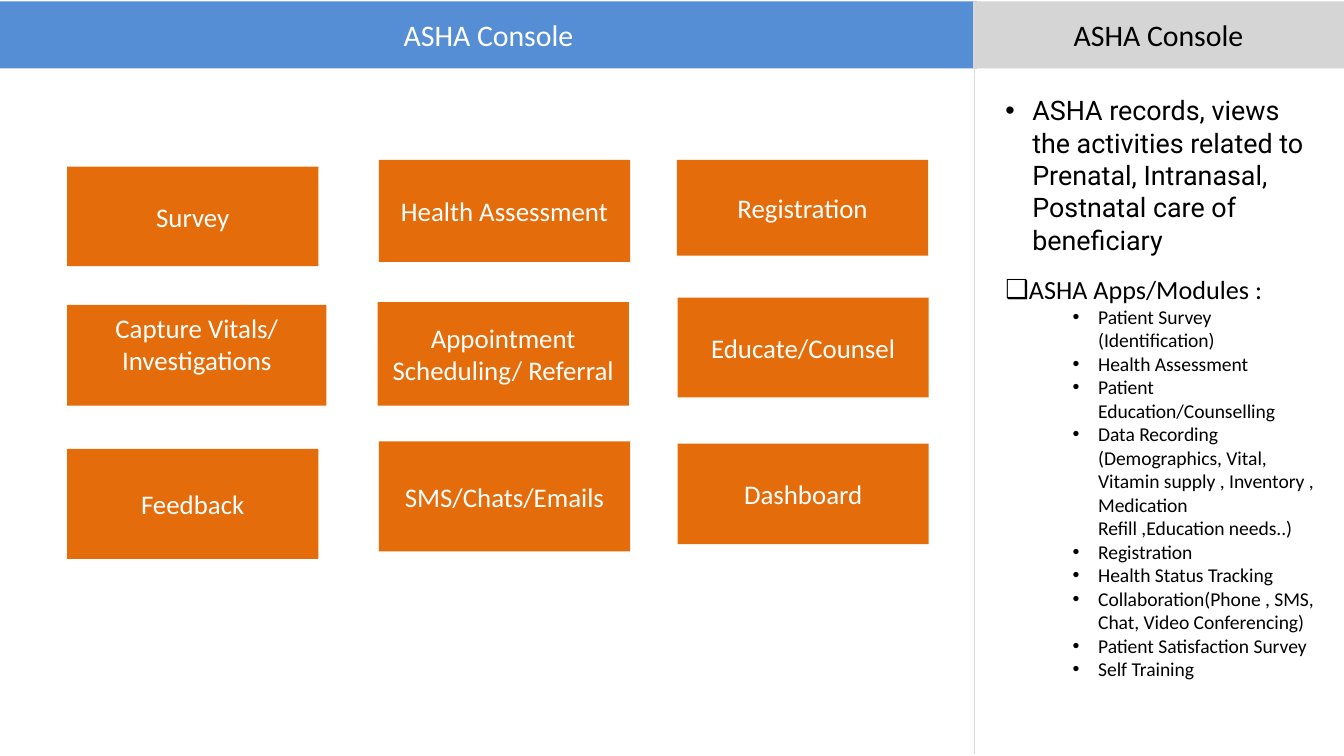
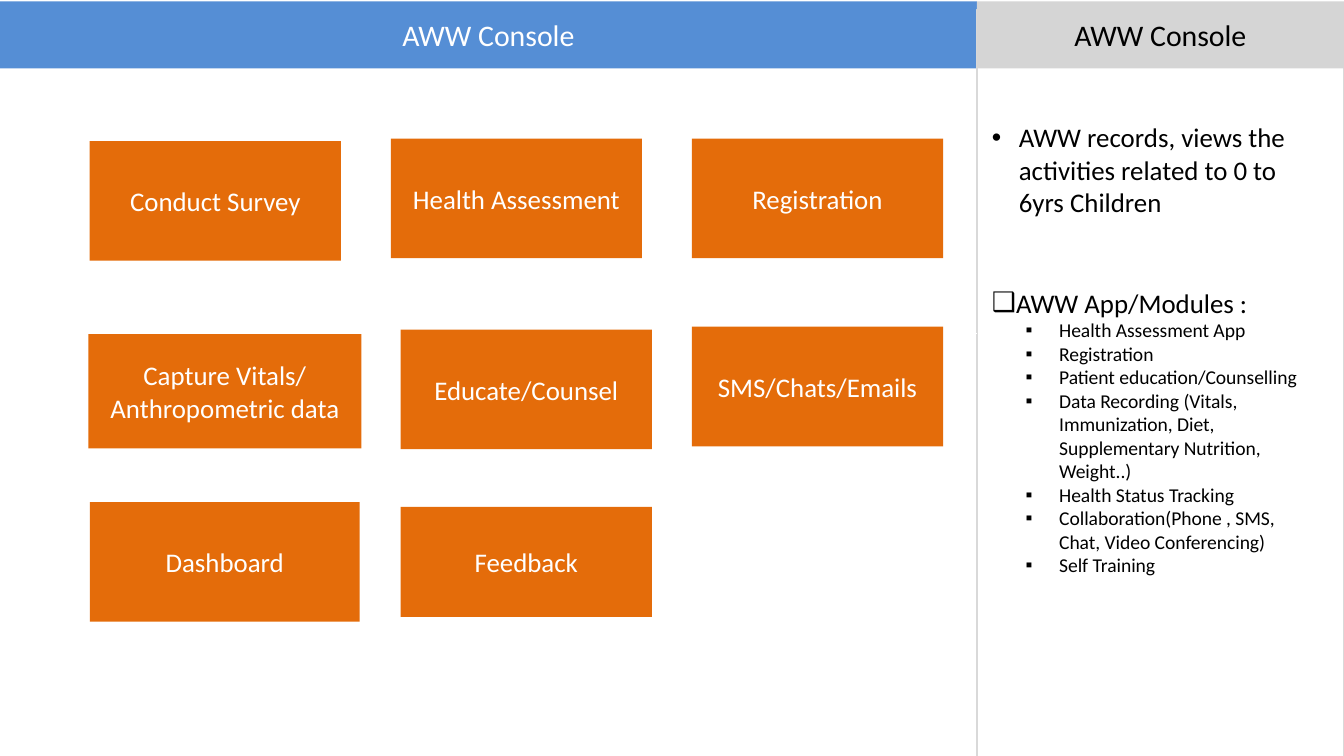
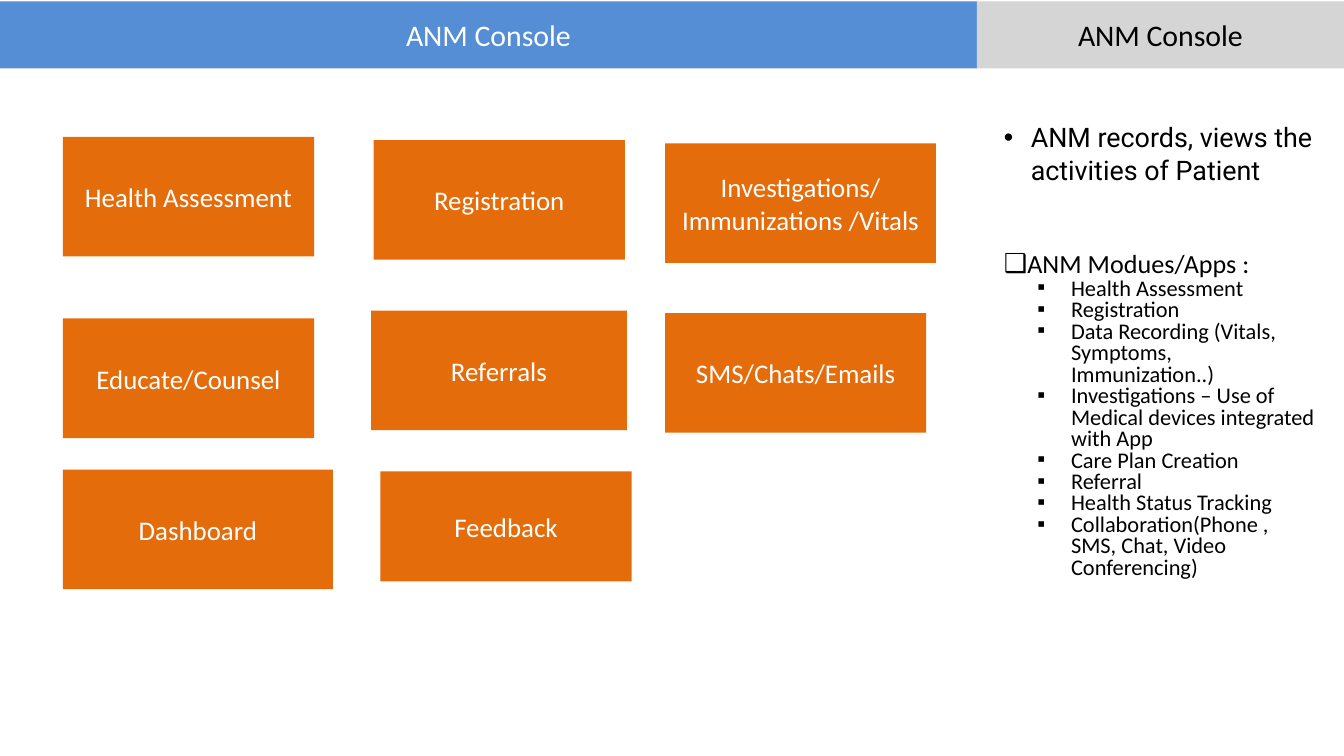
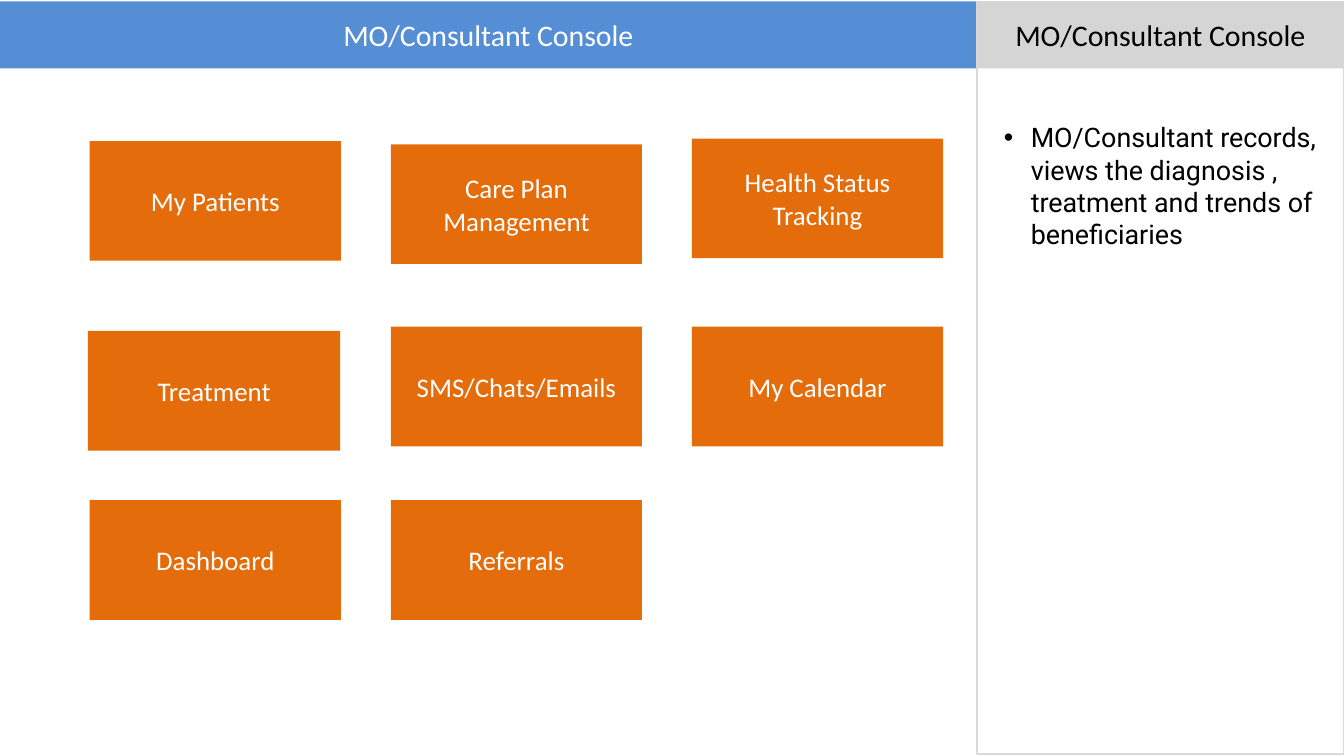
"""Build four health-worker console slides with module tiles and a side panel."""
from lxml.etree import SubElement
from pptx import Presentation
from pptx.dml.color import RGBColor
from pptx.enum.shapes import MSO_CONNECTOR, MSO_SHAPE
from pptx.enum.text import MSO_ANCHOR, MSO_AUTO_SIZE, PP_ALIGN
from pptx.oxml.ns import qn
from pptx.util import Pt

COLORS = {"title": "558ED5", "side": "D5D5D5", "tile": "E46C0A",
          "rule": "D9D9D9", "white": "FFFFFF", "black": "000000"}
TILE_WIDTH, TILE_HEIGHT = 134.6, 64.1
BAND_TOP, BAND_HEIGHT, SPLIT = 0.7, 36, 523.4

CONSOLES = [
    {
        "title": "ASHA Console",
        "tiles": [
            ("Survey", 36, 89.3, 134.6, 53.3),
            ("Health Assessment", 203, 85.7, 134.6, 54.7),
            ("Registration", 362.7, 85.7, 134.6, 51.3),
            ("Capture Vitals/ Investigations", 36, 163.4, 138.9, 54),
            ("Appointment Scheduling/ Referral", 202.3, 161.8, 134.6, 55.6),
            ("Educate/Counsel", 363, 159.4, 134.6, 53.5),
            ("SMS/Chats/Emails", 203, 236.4, 134.6, 59),
            ("Dashboard", 363, 237.6, 134.6, 54),
            ("Feedback", 36, 240.5, 134.6, 59),
        ],
        "top_aligned": "Capture Vitals/ Investigations",
        "side_left": 521.3,
        "lines": [((522.2, 0.7), (522.2, 404), "rule")],
        "notes_box": (531.4, 46.8, 182.2, 339.8),
        "summary": ("ASHA records, views the activities related to Prenatal, "
                    "Intranasal, Postnatal care of beneficiary"),
        "heading": "ASHA Apps/Modules :",
        "modules": [
            "Patient Survey (Identification)",
            "Health Assessment",
            "Patient Education/Counselling",
            "Data Recording (Demographics, Vital, Vitamin supply , Inventory , "
            "Medication Refill ,Education needs..)",
            "Registration",
            "Health Status Tracking",
            "Collaboration(Phone , SMS, Chat, Video Conferencing)",
            "Patient Satisfaction Survey",
            "Self Training",
        ],
        "heading_gap": 0, "module_bullet": ("•", 49.7, -13.7),
    },
    {
        "title": "AWW Console",
        "tiles": [
            ("Conduct Survey", 48.1, 75.6),
            ("Health Assessment", 209.4, 74.2),
            ("Registration", 370.7, 74.2),
            ("Capture Vitals/ Anthropometric data", 47.3, 179, 146.3, 61.2),
            ("Educate/Counsel", 214.7, 176.6),
            ("SMS/Chats/Emails", 370.7, 175),
            ("Dashboard", 48.1, 269, 144.6),
            ("Feedback", 214.7, 271.5, 134.6, 59),
        ],
        "panel_top": 5,
        "lines": [((0, 178.6), (SPLIT, 178.6), "white")],
        "notes_box": (524.2, 61.2, 188.6, 272.2),
        "summary": ("AWW records, views the activities related to "
                    "0 to 6yrs Children"),
        "summary_font": "Calibri",
        "heading": "AWW App/Modules :",
        "heading_size": 14.4,
        "modules": [
            "Health Assessment App",
            "Registration",
            "Patient education/Counselling",
            "Data Recording (Vitals, Immunization, Diet, "
            "Supplementary Nutrition, Weight..)",
            "Health Status Tracking",
            "Collaboration(Phone , SMS, Chat, Video Conferencing)",
            "Self Training",
        ],
    },
    {
        "title": "ANM Console",
        "tiles": [
            ("Health Assessment", 33.7, 73.3),
            ("Registration", 200.2, 75.1),
            ("Investigations/Immunizations /Vitals", 356.3, 76.8, 145.2),
            ("Educate/Counsel", 33.7, 170.6),
            ("Referrals", 198.8, 166.4, 137),
            ("SMS/Chats/Emails", 356.3, 167.7, 139.9),
            ("Dashboard", 33.7, 251.6, 144.6),
            ("Feedback", 203.8, 252.5, 134.6, 59),
        ],
        "notes_box": (530.6, 61.2, 182.2, 273.6),
        "summary": "ANM records, views the activities of Patient",
        "heading": "ANM Modues/Apps :",
        "modules": [
            "Health Assessment",
            "Registration",
            "Data Recording (Vitals, Symptoms, Immunization..)",
            "Investigations – Use of Medical devices integrated with App",
            "Care Plan Creation",
            "Referral",
            "Health Status Tracking",
            "Collaboration(Phone , SMS, Chat, Video Conferencing)",
        ],
        "module_size": 12, "line_spacing": 0.8,
    },
    {
        "title": "MO/Consultant Console",
        "tiles": [
            ("My Patients", 48.1, 75.6),
            ("Care Plan Management", 209.4, 77.3),
            ("Health Status Tracking", 370.7, 74.2),
            ("Treatment", 47.1, 177.3, 135.2),
            ("SMS/Chats/Emails", 209.4, 175),
            ("My Calendar", 370.7, 175),
            ("Dashboard", 48.1, 268),
            ("Referrals", 209.4, 268),
        ],
        "panel_top": 0.7,
        "notes_box": (530.6, 61.2, 182.2, 77),
        "summary": ("MO/Consultant records, views the diagnosis , "
                    "treatment and trends of beneficiaries"),
    },
]


def rgb(name):
    return RGBColor.from_string(COLORS[name])


def place(shape, left, top, width, height):
    shape.left, shape.top = Pt(left), Pt(top)
    shape.width, shape.height = Pt(width), Pt(height)


def style_text(paragraph, size, color="black", face="Calibri"):
    font = paragraph.font
    font.size, font.name, font.color.rgb = Pt(size), face, rgb(color)


def label_block(shape, label, fill, color, size):
    shape.fill.solid()
    shape.fill.fore_color.rgb = rgb(fill)
    shape.line.fill.background()
    frame = shape.text_frame
    frame.text = label
    frame.word_wrap = True
    frame.auto_size = MSO_AUTO_SIZE.NONE
    frame.vertical_anchor = MSO_ANCHOR.MIDDLE
    frame.paragraphs[0].alignment = PP_ALIGN.CENTER
    style_text(frame.paragraphs[0], size, color)


def add_rectangle(slide, *box):
    rectangle = slide.shapes.add_shape(MSO_SHAPE.RECTANGLE, *map(Pt, box))
    rectangle.shadow.inherit = False
    return rectangle


def add_panel(slide, top):
    panel = add_rectangle(slide, SPLIT, top, 720 - SPLIT, 403.2)
    panel.fill.background()
    panel.line.color.rgb = rgb("rule")
    panel.line.width = Pt(0.75)


def add_line(slide, start, end, color):
    line = slide.shapes.add_connector(MSO_CONNECTOR.STRAIGHT, *map(Pt, start + end))
    line.line.color.rgb = rgb(color)
    line.line.width = Pt(0.75)
    SubElement(line._element.spPr, qn("a:effectLst"))


def set_bullet(paragraph, mark, margin, indent):
    properties = paragraph._p.get_or_add_pPr()
    properties.set("marL", str(Pt(margin)))
    properties.set("indent", str(Pt(indent)))
    SubElement(properties, qn("a:buFont")).set("typeface", "Arial")
    SubElement(properties, qn("a:buChar")).set("char", mark)


def fill_notes(notes, console):
    place(notes, *console["notes_box"])
    frame = notes.text_frame
    frame.word_wrap = True
    frame.auto_size = MSO_AUTO_SIZE.SHAPE_TO_FIT_TEXT

    summary = frame.paragraphs[0]
    summary.text = console["summary"]
    set_bullet(summary, "•", 14.4, -14.4)
    summary.space_before, summary.space_after = Pt(0), Pt(9.6)
    style_text(summary, 14.4, face=console.get("summary_font", "Roboto"))
    if "heading" not in console:
        return

    module_bullet = console.get("module_bullet", ("▪", 36, -18))
    entries = [(console["heading"], 0, ("❑", 0, 0), console.get("heading_size", 14),
                console.get("heading_gap", 27))]
    entries += [(module, 1, module_bullet, console.get("module_size", 10.5), 0)
                for module in console["modules"]]
    for wording, level, bullet, size, gap in entries:
        entry = frame.add_paragraph()
        entry.text, entry.level = wording, level
        set_bullet(entry, *bullet)
        entry.space_before, entry.space_after = Pt(gap), Pt(0)
        entry.line_spacing = console.get("line_spacing", 1.0)
        style_text(entry, size)


def build_console(deck, console):
    slide = deck.slides.add_slide(deck.slide_layouts[1])
    title, notes = slide.placeholders
    place(title, 0, BAND_TOP, SPLIT, BAND_HEIGHT)
    label_block(title, console["title"], "title", "white", 16)
    fill_notes(notes, console)

    if "panel_top" in console:
        add_panel(slide, console["panel_top"])
    side_left = console.get("side_left", SPLIT)
    side = add_rectangle(slide, side_left, BAND_TOP, 720 - side_left, BAND_HEIGHT)
    label_block(side, console["title"], "side", "black", 16)
    for start, end, color in console.get("lines", []):
        add_line(slide, start, end, color)

    for label, left, top, *size in console["tiles"]:
        width, height = size + [TILE_WIDTH, TILE_HEIGHT][len(size):]
        tile = add_rectangle(slide, left, top, width, height)
        label_block(tile, label, "tile", "white", 14.4)
        if label == console.get("top_aligned"):
            tile.text_frame.vertical_anchor = MSO_ANCHOR.TOP


def main():
    deck = Presentation()
    deck.slide_width, deck.slide_height = Pt(720), Pt(405)
    for console in CONSOLES:
        build_console(deck, console)
    deck.save("out.pptx")


if __name__ == "__main__":
    main()
